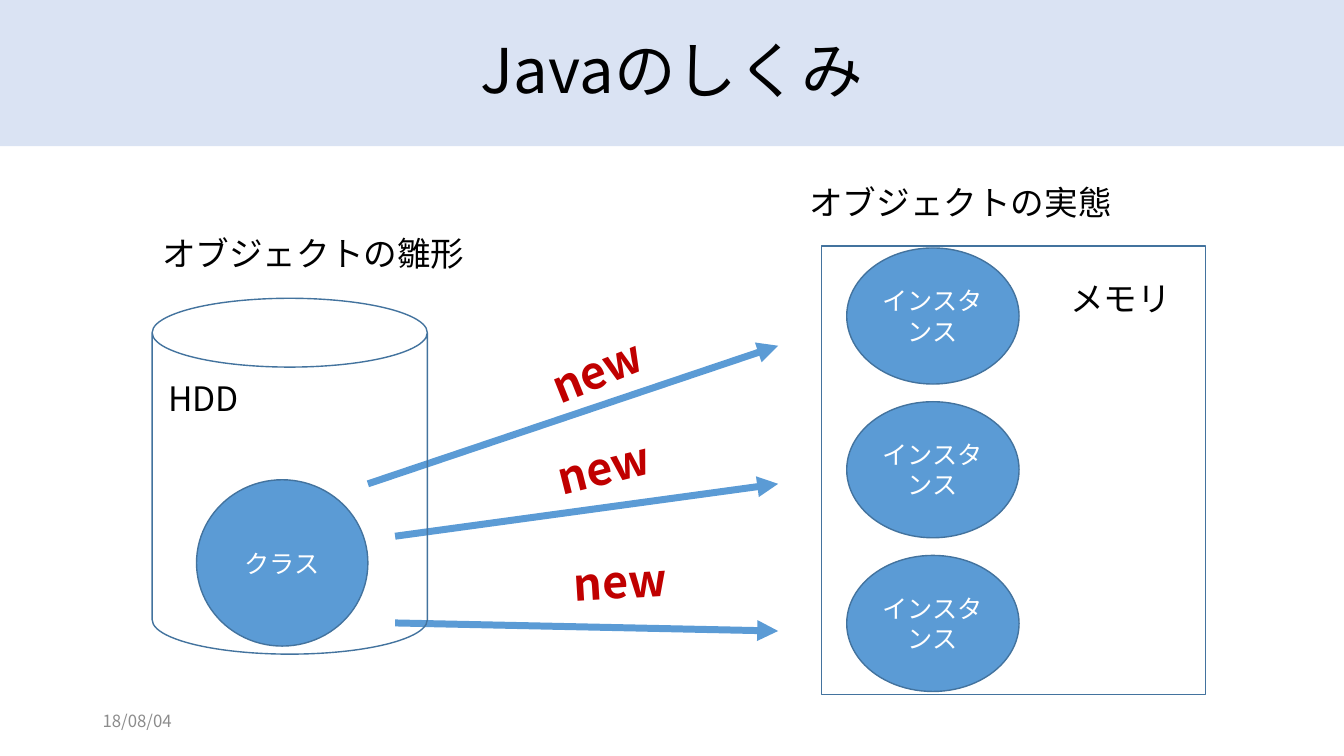
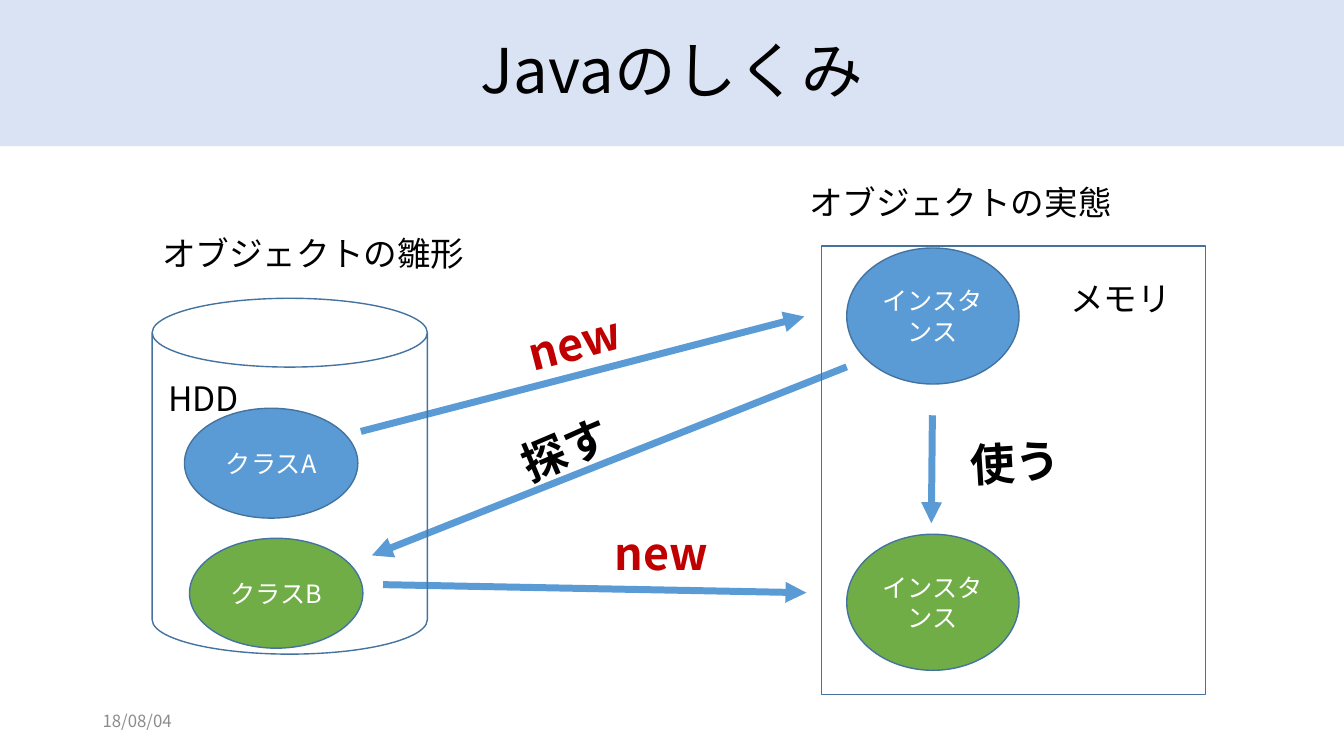
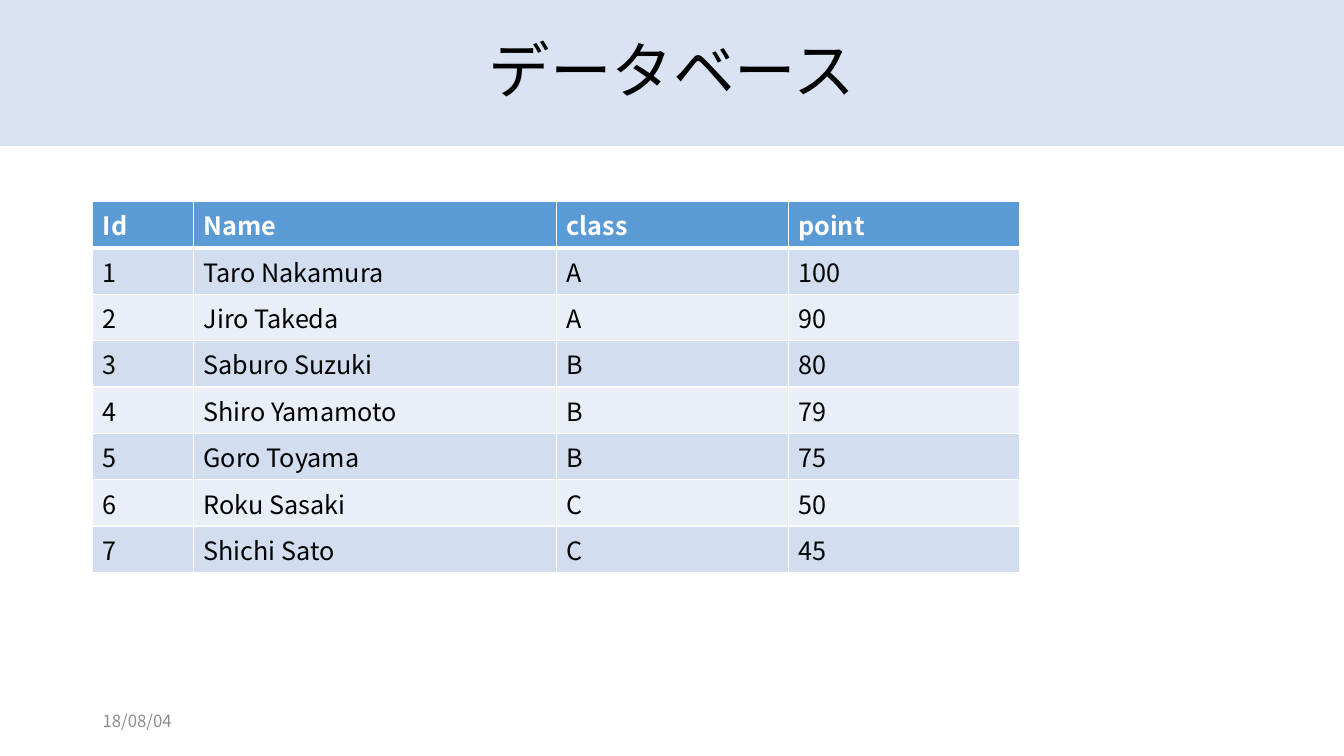
from lxml import etree
from pptx import Presentation
from pptx.dml.color import RGBColor
from pptx.enum.shapes import MSO_CONNECTOR, MSO_SHAPE
from pptx.enum.text import MSO_ANCHOR, MSO_AUTO_SIZE, PP_ALIGN
from pptx.oxml.ns import qn
from pptx.util import Inches, Pt

RECTANGLE, OVAL, CAN = MSO_SHAPE.RECTANGLE, MSO_SHAPE.OVAL, MSO_SHAPE.CAN
STRAIGHT = MSO_CONNECTOR.STRAIGHT
MIDDLE = MSO_ANCHOR.MIDDLE
CENTER, LEFT = PP_ALIGN.CENTER, PP_ALIGN.LEFT
GROW = MSO_AUTO_SIZE.SHAPE_TO_FIT_TEXT

FONT = "Noto Sans CJK JP"
BLACK, WHITE, GREY, RED = "000000", "FFFFFF", "8C8C8C", "C00000"
BLUE, GREEN, OUTLINE, BAND = "5B9BD5", "70AD47", "43739E", "DAE3F3"
STRIPES = ["EAEFF7", "D2DEEF"]
PAGE_WIDTH, PAGE_HEIGHT = 40 / 3, 7.5
color = RGBColor.from_string


def write(frame, text, size, ink, bold=False, align=LEFT):
    paragraph = frame.paragraphs[0]
    paragraph.alignment = align
    span = paragraph.add_run()
    span.text = text
    for name, value in {"name": FONT, "size": Pt(size), "bold": bold}.items():
        setattr(span.font, name, value)
    span.font.color.rgb = color(ink)
    east_asian = etree.SubElement(span.font._element, qn("a:ea"))
    east_asian.set("typeface", FONT)
    return paragraph


def draw(page, kind, at, fill=None, line=None):
    """Add a preset shape, or a text box when kind is None."""
    place = [Inches(length) for length in at]
    if kind is None:
        box = page.shapes.add_textbox(*place)
    else:
        box = page.shapes.add_shape(kind, *place)
        box.shadow.inherit = False
        if fill:
            box.fill.solid()
            box.fill.fore_color.rgb = color(fill)
        else:
            box.fill.background()
        if line:
            box.line.color.rgb = color(line)
            box.line.width = Pt(1)
        else:
            box.line.fill.background()
    box.text_frame.word_wrap = True
    return box


deck = Presentation()
deck.slide_width, deck.slide_height = Inches(PAGE_WIDTH), Inches(PAGE_HEIGHT)

# Title band and date on every slide
pages = []
for title in ["Javaのしくみ", "Javaのしくみ", "データベース"]:
    page = deck.slides.add_slide(deck.slide_layouts[6])
    date = draw(page, None, (0.92, 6.95, 3, 0.4))
    date.text_frame.vertical_anchor = MIDDLE
    write(date.text_frame, "18/08/04", 12, GREY)
    band = draw(page, RECTANGLE, (0, 0, PAGE_WIDTH, 1.45), BAND)
    band.text_frame.vertical_anchor = MIDDLE
    write(band.text_frame, title, 44, BLACK, align=CENTER).line_spacing = 0.9
    pages.append(page)

# Diagrams: classes on the disk become instances in memory
captions = [
    ("オブジェクトの雛形", (1.51, 2.26, 3.85, 0.5)),
    ("オブジェクトの実態", (7.93, 1.76, 3.28, 0.5)),
    ("メモリ", (10.52, 2.71, 1.69, 0.5)),
    ("HDD", (1.57, 3.7, 1.69, 0.5)),
]
diagrams = [
    {
        "ovals": [("クラス", (1.95, 4.76, 1.7, 1.65), BLUE)]
        + [("インスタンス", (8.4, 2.46 + 1.525 * row, 1.71, 1.35), BLUE)
           for row in range(3)],
        "arrows": [
            (3.65, 4.8, 7.72, 3.43),
            (3.92, 5.32, 7.72, 4.8),
            (3.92, 6.18, 7.72, 6.26),
        ],
        "actions": [
            ("new", 5.42, 4.25, 345.9, RED),
            ("new", 5.34, 3.25, 338.1, RED),
            ("new", 5.59, 5.43, 356.5, RED),
        ],
    },
    {
        "ovals": [
            ("クラスA", (1.83, 4.05, 1.72, 1.09), BLUE),
            ("クラスB", (1.88, 5.34, 1.72, 1.09), GREEN),
            ("インスタンス", (8.4, 2.46, 1.71, 1.35), BLUE),
            ("インスタンス", (8.4, 5.3, 1.71, 1.35), GREEN),
        ],
        "arrows": [
            (3.58, 4.28, 7.98, 3.14),
            (3.8, 5.8, 8, 5.88),
            (8.4, 3.64, 3.69, 5.51),
            (9.25, 4.12, 9.24, 5.19),
        ],
        "actions": [
            ("new", 6, 5.17, 0, RED),
            ("new", 5.13, 3.01, 345.4, RED),
            ("探す", 5.04, 4.02, 337, BLACK),
            ("使う", 9.53, 4.25, 356.5, BLACK),
        ],
    },
]
for page, diagram in zip(pages, diagrams):
    for text, at, fill in diagram["ovals"]:
        oval = draw(page, OVAL, at, fill, OUTLINE)
        oval.text_frame.vertical_anchor = MIDDLE
        write(oval.text_frame, text, 18, WHITE, align=CENTER)

    for ends in diagram["arrows"]:
        arrow = page.shapes.add_connector(STRAIGHT, *[Inches(end) for end in ends])
        arrow.line.color.rgb = color(BLUE)
        arrow.line.width = Pt(5)
        head = etree.SubElement(arrow.line._get_or_add_ln(), qn("a:tailEnd"))
        head.set("type", "triangle")
        etree.SubElement(arrow._element.spPr, qn("a:effectLst"))

    draw(page, CAN, (1.51, 2.96, 2.73, 3.53), line=OUTLINE)
    draw(page, RECTANGLE, (8.15, 2.44, 3.81, 4.45), line=OUTLINE)
    for text, at in captions:
        caption = draw(page, None, at)
        caption.text_frame.auto_size = GROW
        write(caption.text_frame, text, 24, BLACK)

    for text, left, top, angle, ink in diagram["actions"]:
        action = draw(page, None, (left, top, 1.69, 0.64))
        action.rotation = angle
        action.text_frame.auto_size = GROW
        write(action.text_frame, text, 32, ink, bold=True)

# Database table
records = [
    ("Id", "Name", "class", "point"),
    ("1", "Taro Nakamura", "A", "100"),
    ("2", "Jiro Takeda", "A", "90"),
    ("3", "Saburo Suzuki", "B", "80"),
    ("4", "Shiro Yamamoto", "B", "79"),
    ("5", "Goro Toyama", "B", "75"),
    ("6", "Roku Sasaki", "C", "50"),
    ("7", "Shichi Sato", "C", "45"),
]
widths = [1, 3.6, 2.3, 2.3]
row_height = 0.46
table = pages[2].shapes.add_table(
    len(records), len(widths), Inches(0.92), Inches(2),
    Inches(sum(widths)), Inches(row_height * len(records)),
).table
for column, width in zip(table.columns, widths):
    column.width = Inches(width)
for row, record in enumerate(records):
    header = row == 0
    borders = {"lnL": 1, "lnR": 1, "lnT": 3 if row == 1 else 1, "lnB": 3 if header else 1}
    for column, text in enumerate(record):
        cell = table.cell(row, column)
        write(cell.text_frame, text, 18, WHITE if header else BLACK, bold=header)
        properties = cell._tc.get_or_add_tcPr()
        for side, width in borders.items():
            border = etree.SubElement(properties, qn(f"a:{side}"), w=str(Pt(width)))
            paint = etree.SubElement(border, qn("a:solidFill"))
            etree.SubElement(paint, qn("a:srgbClr"), val=WHITE)
        cell.fill.solid()
        cell.fill.fore_color.rgb = color(BLUE if header else STRIPES[row % 2])

deck.save("out.pptx")
